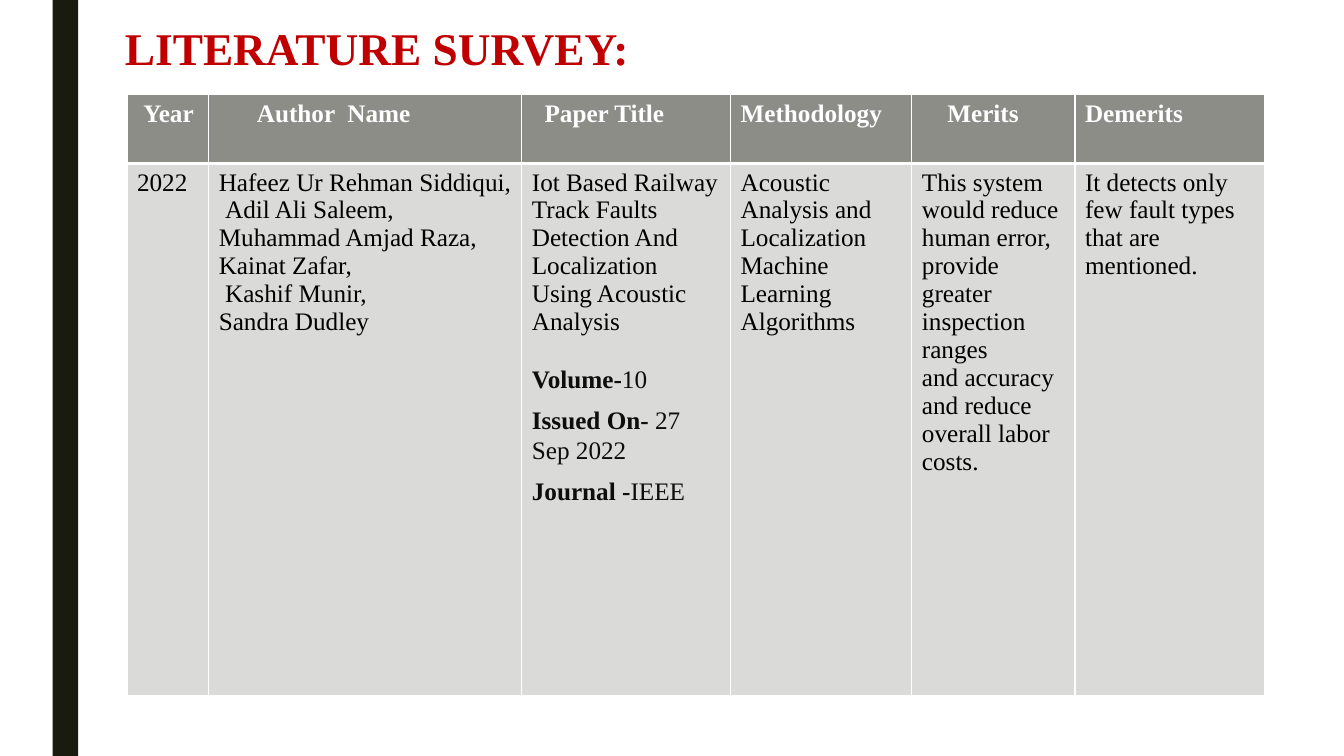
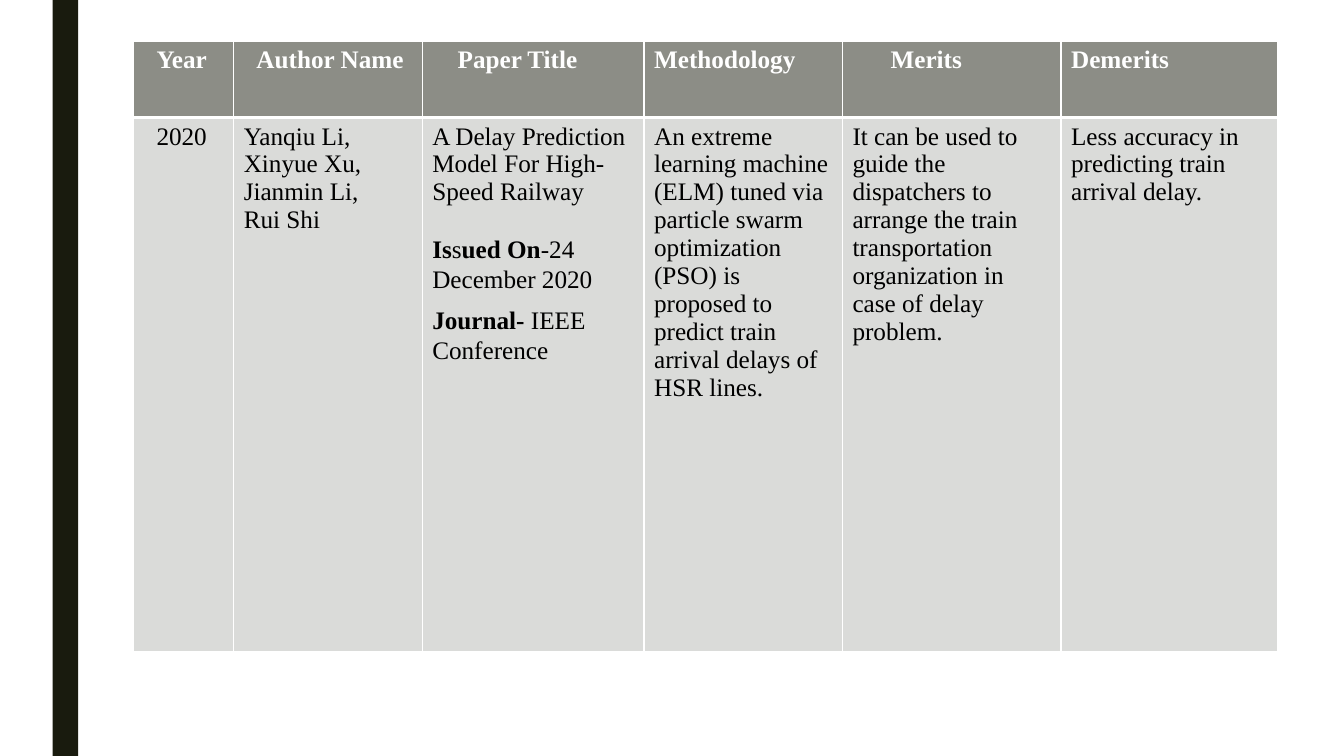
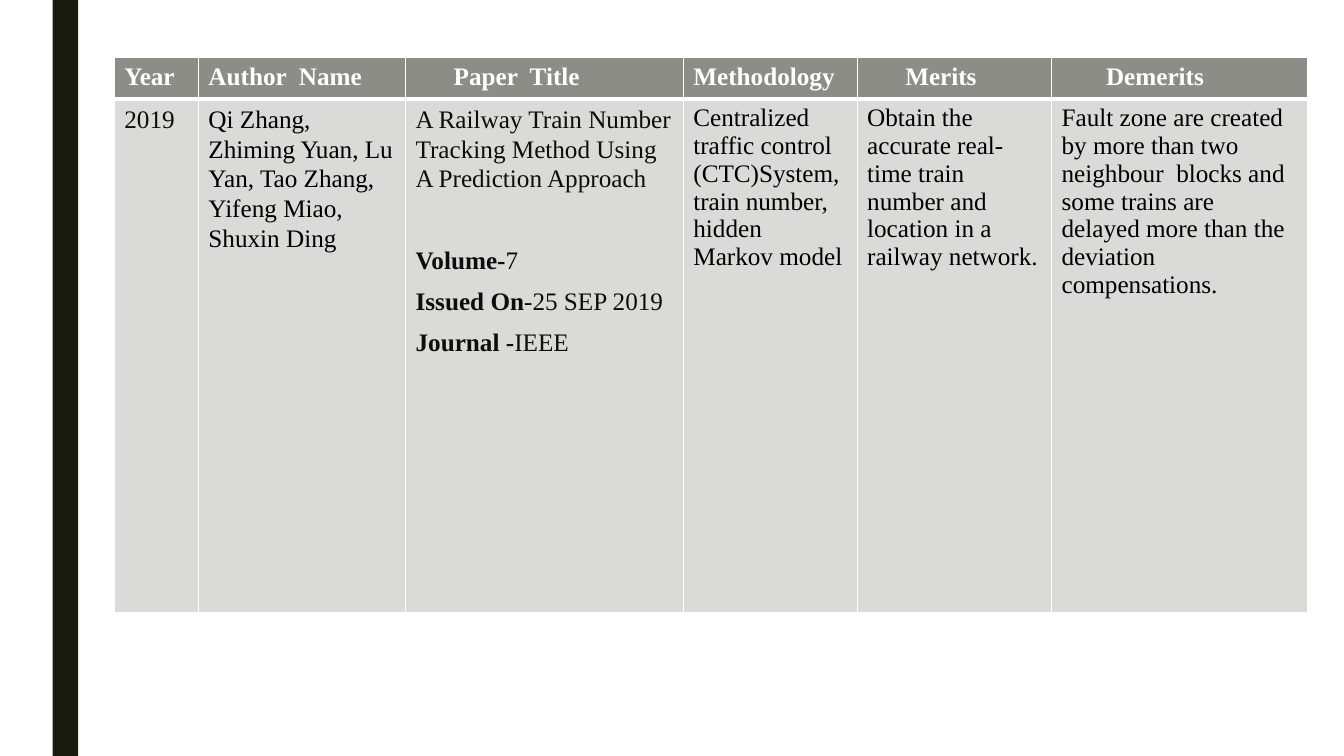
from lxml import etree
from pptx import Presentation
from pptx.dml.color import RGBColor
from pptx.enum.shapes import MSO_SHAPE
from pptx.oxml.ns import qn
from pptx.util import Cm, Pt

RECT = MSO_SHAPE.RECTANGLE
FONT = "Times New Roman"
COLORS = {
    "band": "191B0E",
    "title": "C00000",
    "header": "8C8D86",
    "body": "DADBD9",
    "white": "FFFFFF",
    "black": "000000",
    "ink": "0D0D0D",
}
SPACE = 0.16  # width of one space at 18 pt, in cm


def write(tf, text, size=18, color="black", bold=False, indent=0,
          spacing=None, before=0, after=0):
    """Add a paragraph; parts between asterisks are bold."""
    p = tf.paragraphs[0]
    if p.runs:
        p = tf.add_paragraph()
    if indent:
        p._p.get_or_add_pPr().set("marL", str(Cm(indent)))
    p.line_spacing = spacing
    p.space_before, p.space_after = Pt(before), Pt(after)
    for i, part in enumerate(text.split("*")):
        if part:
            r = p.add_run()
            r.text = part
            r.font.name, r.font.size = FONT, Pt(size)
            r.font.bold = bold or i % 2 == 1
            r.font.color.rgb = RGBColor.from_string(COLORS[color])


def set_borders(cell, **widths):
    """Draw white cell borders, with widths in points by side."""
    tcPr = cell._tc.get_or_add_tcPr()
    for side in "LRTB":
        ln = etree.SubElement(tcPr, qn("a:ln" + side), w=str(Pt(widths.get(side, 1))))
        fill = etree.SubElement(ln, qn("a:solidFill"))
        etree.SubElement(fill, qn("a:srgbClr"), val=COLORS["white"])


# Paragraph formats
LOOSE = dict(spacing=1.07, after=8)
DETAIL = dict(LOOSE, color="ink")
SHIFTED = dict(indent=SPACE)

# Headers are (text, indent in spaces); body cells list (text, format) paragraphs
slides = [
    dict(
        title="LITERATURE SURVEY:",
        left=3.2, top=2.39,
        cols=[2.06, 7.89, 5.26, 4.57, 4.11, 4.78],
        rows=[1.73, 13.41],
        headers=[("Year", 1), ("Author  Name", 6), ("Paper Title", 2),
                 ("Methodology", 0), ("Merits", 4), ("Demerits", 0)],
        body=[
            [("2022", {})],
            [("Hafeez Ur Rehman Siddiqui,", {}), ("Adil Ali Saleem,", SHIFTED),
             ("Muhammad Amjad Raza,", {}), ("Kainat Zafar,", {}),
             ("Kashif Munir,", SHIFTED), ("Sandra Dudley", {})],
            [("Iot Based Railway Track Faults Detection And Localization "
              "Using Acoustic Analysis", {}),
             ("*Volume-*10", dict(DETAIL, before=20)),
             ("*Issued On-* 27 Sep 2022", DETAIL),
             ("*Journal -*IEEE", DETAIL)],
            [("Acoustic Analysis and Localization Machine Learning Algorithms", {})],
            [("This system", {}),
             ("would reduce human error, provide greater inspection ranges", {}),
             ("and accuracy and reduce overall labor costs.", {})],
            [("It detects only few fault types that are mentioned.", {})],
        ],
    ),
    dict(
        left=3.37, top=1.04,
        cols=[2.52, 4.75, 5.59, 5, 5.51, 5.46],
        rows=[1.92, 13.46],
        headers=[("Year", 2), ("Author Name", 2), ("Paper Title", 4),
                 ("Methodology", 0), ("Merits", 6), ("Demerits", 0)],
        body=[
            [("2020", dict(indent=2 * SPACE))],
            [("Yanqiu Li,", {}), ("Xinyue Xu, Jianmin Li,", {}), ("Rui Shi", {})],
            [("A Delay Prediction Model For High-Speed Railway", {}),
             ("*Is*s*ued On*-24 December 2020", dict(LOOSE, before=20)),
             ("*Journal- *IEEE Conference", LOOSE)],
            [("An extreme learning machine (ELM) tuned via particle swarm "
              "optimization (PSO) is proposed to predict train arrival delays "
              "of HSR lines.", {})],
            [("It can be used to guide the dispatchers to arrange the train "
              "transportation organization in case of delay problem.", {})],
            [("Less accuracy in predicting train arrival delay.", {})],
        ],
    ),
    dict(
        left=2.88, top=1.45,
        cols=[2.12, 5.22, 7, 4.38, 4.9, 6.45],
        rows=[1.04, 12.95],
        headers=[("Year", 0), ("Author  Name", 0), ("Paper  Title", 6),
                 ("Methodology", 0), ("Merits", 6), ("Demerits", 7)],
        body=[
            [("2019", DETAIL)],
            [("Qi Zhang, Zhiming Yuan, Lu Yan, Tao Zhang, Yifeng Miao, "
              "Shuxin Ding", LOOSE)],
            [("A Railway Train Number Tracking Method Using A Prediction Approach",
              DETAIL),
             ("*Volume-*7", dict(DETAIL, before=29)),
             ("*Issued On*-25 SEP 2019", DETAIL),
             ("*Journal -*IEEE", DETAIL)],
            [("Centralized traffic control (CTC)System, train number, hidden "
              "Markov model", {})],
            [("Obtain the accurate real-time train number and location in a "
              "railway network.", {})],
            [("Fault zone are created by more than two neighbour  blocks and "
              "some trains are delayed more than the deviation compensations.", {})],
        ],
    ),
]

prs = Presentation()
prs.slide_width, prs.slide_height = Cm(33.87), Cm(19.05)

for data in slides:
    s = prs.slides.add_slide(prs.slide_layouts[6])

    # Side band
    band = s.shapes.add_shape(RECT, Cm(1.33), 0, Cm(0.64), prs.slide_height)
    band.shadow.inherit = False
    band.fill.solid()
    band.fill.fore_color.rgb = RGBColor.from_string(COLORS["band"])
    band.line.fill.background()

    # Title
    if "title" in data:
        tf = s.shapes.add_textbox(Cm(2.9), Cm(0.38), Cm(26.67), Cm(1.5)).text_frame
        tf.word_wrap = True
        write(tf, data["title"], size=32.4, color="title", bold=True)

    # Survey table
    cols, rows = data["cols"], data["rows"]
    table = s.shapes.add_table(len(rows), len(cols), Cm(data["left"]), Cm(data["top"]),
                               Cm(sum(cols)), Cm(sum(rows))).table
    for row, height in zip(table.rows, rows):
        row.height = Cm(height)
    for i, width in enumerate(cols):
        table.columns[i].width = Cm(width)
        head, body = table.cell(0, i), table.cell(1, i)
        set_borders(head, B=3)
        set_borders(body, T=3)
        for cell, fill in ((head, "header"), (body, "body")):
            cell.fill.solid()
            cell.fill.fore_color.rgb = RGBColor.from_string(COLORS[fill])
        text, spaces = data["headers"][i]
        write(head.text_frame, text, color="white", bold=True, indent=spaces * SPACE)
        for text, style in data["body"][i]:
            write(body.text_frame, text, **style)

prs.save("out.pptx")
